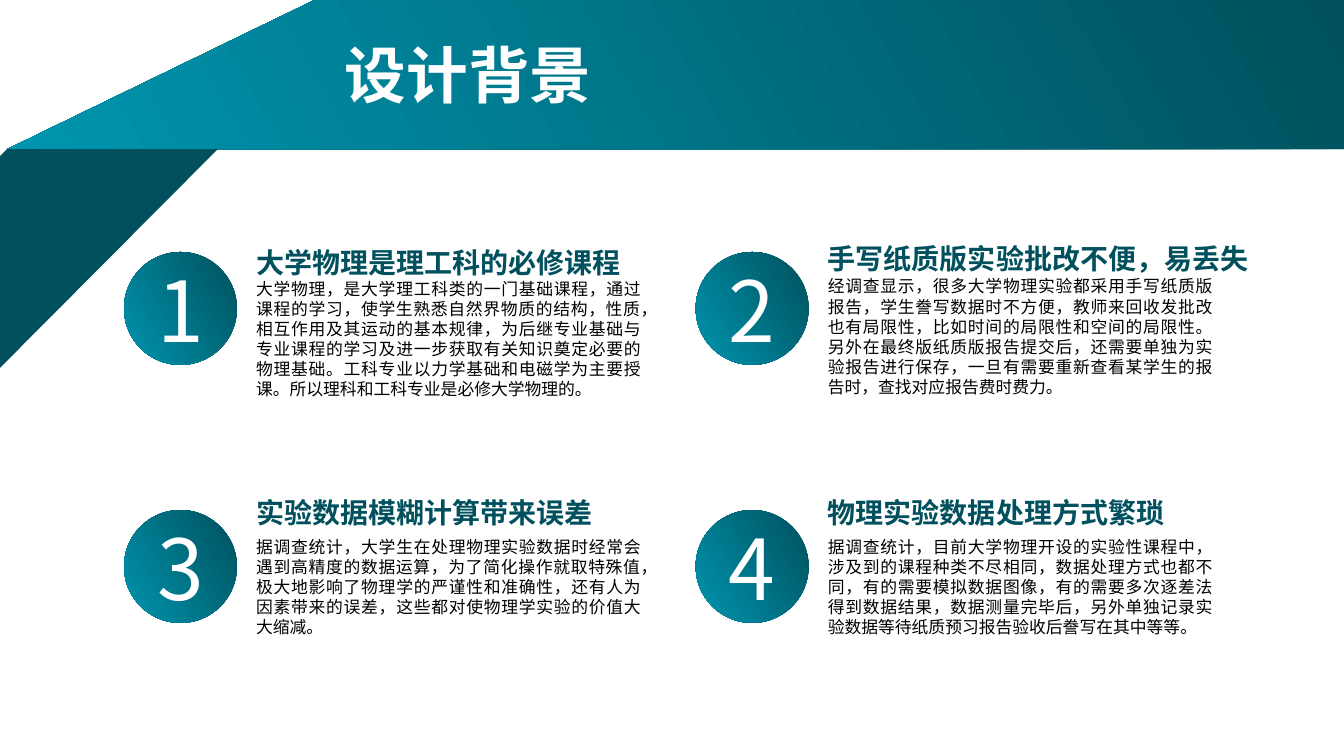
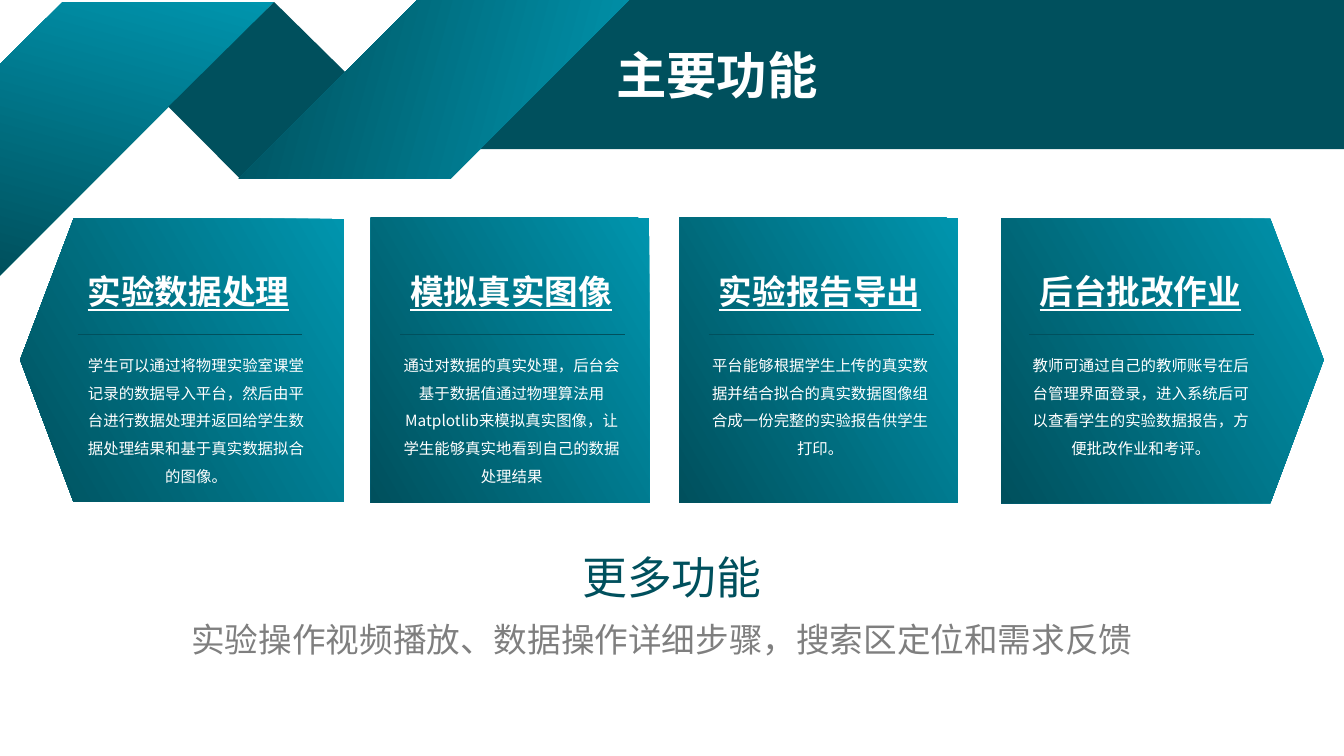
import pptx
import pptx.dml.color
import pptx.enum.shapes
import pptx.enum.text
import pptx.oxml
import pptx.oxml.ns
import pptx.util

PX = 9144  # EMU in one px, 100 px to the inch
HEAD_FONT = "Noto Sans CJK SC"
BODY_FONT = "Calibri"
DARK, LIGHT, WHITE, BLACK, GREY = "00505D", "0095AE", "FFFFFF", "000000", "7F7F7F"
ALIGN = pptx.enum.text.PP_ALIGN
ANCHOR = pptx.enum.text.MSO_ANCHOR
WIDE_INSETS = (10, 5)
TIGHT_INSETS = (8, 4)

# number, circle left and top, heading top, body top, heading, body
REASONS = [
    ("1", 123, 250, 240, 272, "大学物理是理工科的必修课程",
     "大学物理，是大学理工科类的一门基础课程，通过课程的学习，使学生熟悉自然界物质的结构，性质，"
     "相互作用及其运动的基本规律，为后继专业基础与专业课程的学习及进一步获取有关知识奠定必要的物理基础。"
     "工科专业以力学基础和电磁学为主要授课。所以理科和工科专业是必修大学物理的。"),
    ("2", 690, 250, 236, 270, "手写纸质版实验批改不便，易丢失",
     "经调查显示，很多大学物理实验都采用手写纸质版报告，学生誊写数据时不方便，教师来回收发批改也有局限性，"
     "比如时间的局限性和空间的局限性。另外在最终版纸质版报告提交后，还需要单独为实验报告进行保存，"
     "一旦有需要重新查看某学生的报告时，查找对应报告费时费力。"),
    ("3", 123, 506, 488, 528, "实验数据模糊计算带来误差",
     "据调查统计，大学生在处理物理实验数据时经常会遇到高精度的数据运算，为了简化操作就取特殊值，"
     "极大地影响了物理学的严谨性和准确性，还有人为因素带来的误差，这些都对使物理学实验的价值大大缩减。"),
    ("4", 690, 506, 488, 528, "物理实验数据处理方式繁琐",
     "据调查统计，目前大学物理开设的实验性课程中，涉及到的课程种类不尽相同，数据处理方式也都不同，"
     "有的需要模拟数据图像，有的需要多次逐差法得到数据结果，数据测量完毕后，"
     "另外单独记录实验数据等待纸质预习报告验收后誊写在其中等等。"),
]

# outline, heading left, body left, heading, body
FEATURES = [
    ([(73, 498), (341, 498), (341, 217), (73, 217), (20, 357)], 76, 75, "实验数据处理",
     "学生可以通过将物理实验室课堂记录的数据导入平台，然后由平台进行数据处理并返回给学生"
     "数据处理结果和基于真实数据拟合的图像。"),
    ([(368, 216), (644, 216), (644, 499), (368, 499)], 396, 388, "模拟真实图像",
     "通过对数据的真实处理，后台会基于数据值通过物理算法用Matplotlib来模拟真实图像，"
     "让学生能够真实地看到自己的数据处理结果"),
    ([(674, 216), (950, 216), (950, 499), (674, 499)], 702, 694, "实验报告导出",
     "平台能够根据学生上传的真实数据并结合拟合的真实数据图像组合成一份完整的实验报告供学生打印。"),
    ([(1260, 499), (993, 499), (993, 217), (1260, 217), (1313, 357)], 1020, 1012, "后台批改作业",
     "教师可通过自己的教师账号在后台管理界面登录，进入系统后可以查看学生的实验数据报告，方便批改作业和考评。"),
]


def px(length):
    return pptx.util.Emu(length * PX)


def colour(code):
    return pptx.dml.color.RGBColor.from_string(code)


def paint(shape, start, end=None, angle=150):
    """Fill without outline; angle is clockwise degrees."""
    shape.shadow.inherit = False
    shape.line.fill.background()
    if end is None:
        shape.fill.solid()
        shape.fill.fore_color.rgb = colour(start)
        return
    shape.fill.gradient()
    shape.fill.gradient_angle = 360 - angle
    for stop, code in zip(shape.fill.gradient_stops, (start, end)):
        stop.color.rgb = colour(code)


def write(shape, text, size, code, font=HEAD_FONT, align=ALIGN.LEFT, bold=False,
          underline=False, anchor=ANCHOR.TOP, insets=WIDE_INSETS, wrap=True, spacing=None):
    frame = shape.text_frame
    frame.auto_size = pptx.enum.text.MSO_AUTO_SIZE.NONE
    frame.word_wrap = wrap
    frame.vertical_anchor = anchor
    frame.margin_left = frame.margin_right = px(insets[0])
    frame.margin_top = frame.margin_bottom = px(insets[1])
    para = frame.paragraphs[0]
    para.alignment = align
    if spacing:
        para.line_spacing = spacing
    span = para.add_run()
    span.text = text
    span.font.name = font
    span.font.size = pptx.util.Pt(size)
    span.font.bold = bold
    span.font.underline = underline
    span.font.color.rgb = colour(code)
    # East Asian letters take the same font
    latin = span.font._element.find(pptx.oxml.ns.qn("a:latin"))
    east_asian = pptx.oxml.parse_xml(
        f'<a:ea {pptx.oxml.ns.nsdecls("a")} typeface="{font}"/>')
    latin.addnext(east_asian)


def add_text(page, left, top, width, height, text, size, code, **style):
    box = page.shapes.add_textbox(px(left), px(top), px(width), px(height))
    write(box, text, size, code, **style)


def add_title(page, left, top, width, height, text, size):
    title = page.shapes.title
    title.left, title.top, title.width, title.height = map(px, (left, top, width, height))
    title.element.getparent().append(title.element)  # in front of the band
    write(title, text, size, WHITE, bold=True)


def add_outline(page, points, *fill, angle=150):
    builder = page.shapes.build_freeform(*points[0], scale=PX)
    builder.add_line_segments(points[1:], close=True)
    paint(builder.convert_to_shape(), *fill, angle=angle)


def add_circle(page, left, top, number):
    circle = page.shapes.add_shape(
        pptx.enum.shapes.MSO_SHAPE.OVAL, px(left), px(top), px(112), px(112))
    paint(circle, DARK, LIGHT)
    write(circle, number, 60, WHITE, align=ALIGN.CENTER, anchor=ANCHOR.MIDDLE)


def add_rule(page, left, top, width):
    rule = page.shapes.add_connector(
        pptx.enum.shapes.MSO_CONNECTOR.STRAIGHT, px(left), px(top), px(left + width), px(top))
    rule.line.color.rgb = colour(DARK)
    rule.line.width = pptx.util.Pt(0.5)
    rule._element.spPr.append(
        pptx.oxml.parse_xml(f'<a:effectLst {pptx.oxml.ns.nsdecls("a")}/>'))


def add_reason(page, number, left, circle_top, heading_top, body_top, heading, body):
    text_left = left + 123
    add_text(page, text_left, body_top, 398, 128, body, 12, BLACK, font=BODY_FONT,
             align=ALIGN.JUSTIFY, insets=TIGHT_INSETS)
    add_text(page, text_left, heading_top, 437, 41, heading, 20, DARK, bold=True,
             insets=TIGHT_INSETS, wrap=False)
    add_circle(page, left, circle_top, number)


def add_feature(page, outline, heading_left, body_left, heading, body):
    add_outline(page, outline, LIGHT, DARK)
    add_rule(page, heading_left + 1, 332, 223)
    add_text(page, heading_left, 264, 222, 51, heading, 24, WHITE, bold=True,
             underline=True, align=ALIGN.CENTER, wrap=False)
    add_text(page, body_left, 339, 239, 146, body, 11, WHITE,
             align=ALIGN.CENTER, spacing=1.5)


def build_background(page):
    # Band with its fold
    add_outline(page, [(312, 0), (1333, 0), (1333, 148), (7, 148)], DARK, LIGHT)
    add_outline(page, [(7, 148), (216, 148), (0, 365), (0, 155)], DARK)
    add_title(page, 332, 32, 939, 84, "设计背景", 44)
    for reason in REASONS:
        add_reason(page, *reason)


def build_features(page):
    # Folded ribbon and band
    add_outline(page, [(62, 2), (272, 2), (167, 106), (0, 273), (0, 64)],
                LIGHT, DARK, angle=105)
    add_outline(page, [(272, 2), (343, 72), (238, 177), (167, 106)], DARK)
    add_outline(page, [(624, 0), (1333, 0), (1333, 148), (476, 148)], DARK)
    add_outline(page, [(414, 0), (624, 0), (447, 177), (237, 177)],
                LIGHT, DARK, angle=195)
    add_title(page, 601, 39, 731, 71, "主要功能", 36)
    for feature in FEATURES:
        add_feature(page, *feature)
    # Further functions
    add_text(page, 569, 541, 195, 61, "更多功能", 32, DARK, align=ALIGN.CENTER,
             insets=TIGHT_INSETS, wrap=False)
    add_text(page, 116, 610, 1081, 48, "实验操作视频播放、数据操作详细步骤，搜索区定位和需求反馈",
             24, GREY, font=BODY_FONT, align=ALIGN.CENTER, insets=TIGHT_INSETS)


def main():
    deck = pptx.Presentation()
    deck.slide_width, deck.slide_height = pptx.util.Inches(13.33), pptx.util.Inches(7.5)
    title_only = deck.slide_layouts[5]
    for build in (build_background, build_features):
        build(deck.slides.add_slide(title_only))
    deck.save("out.pptx")


if __name__ == "__main__":
    main()
